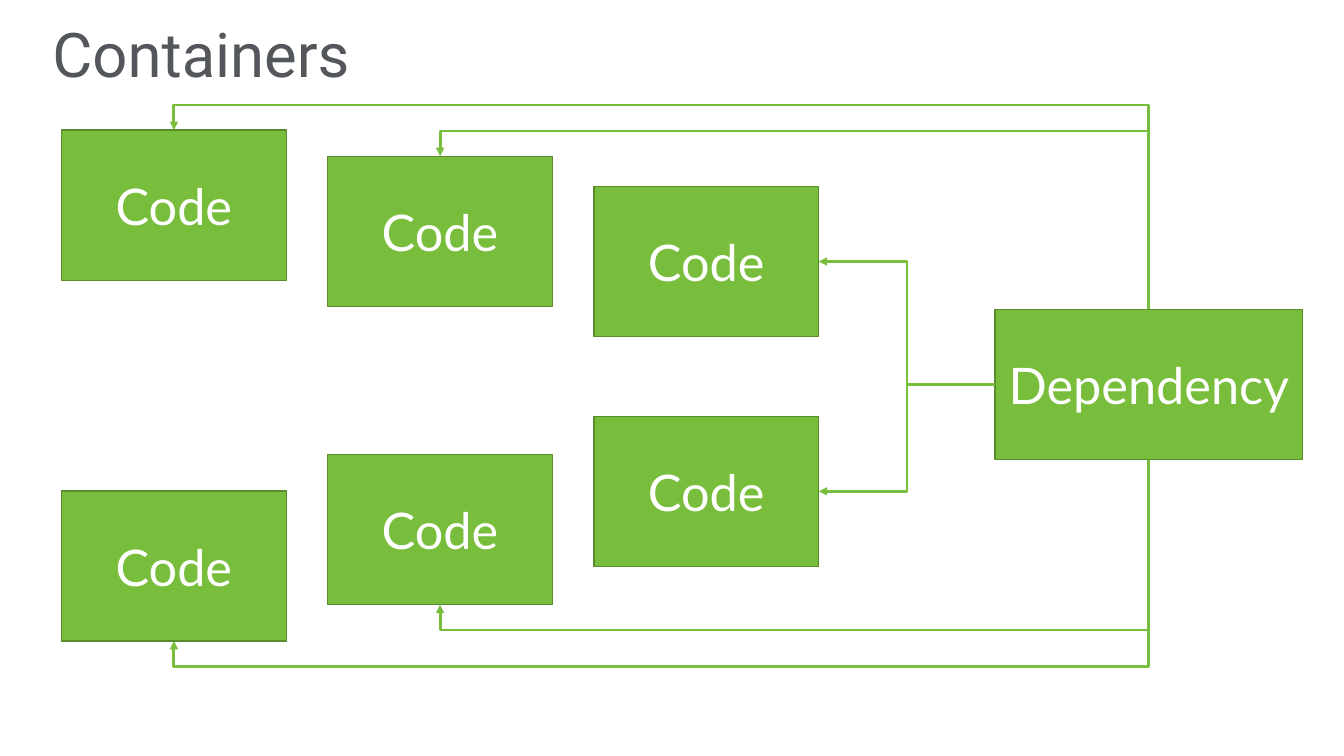
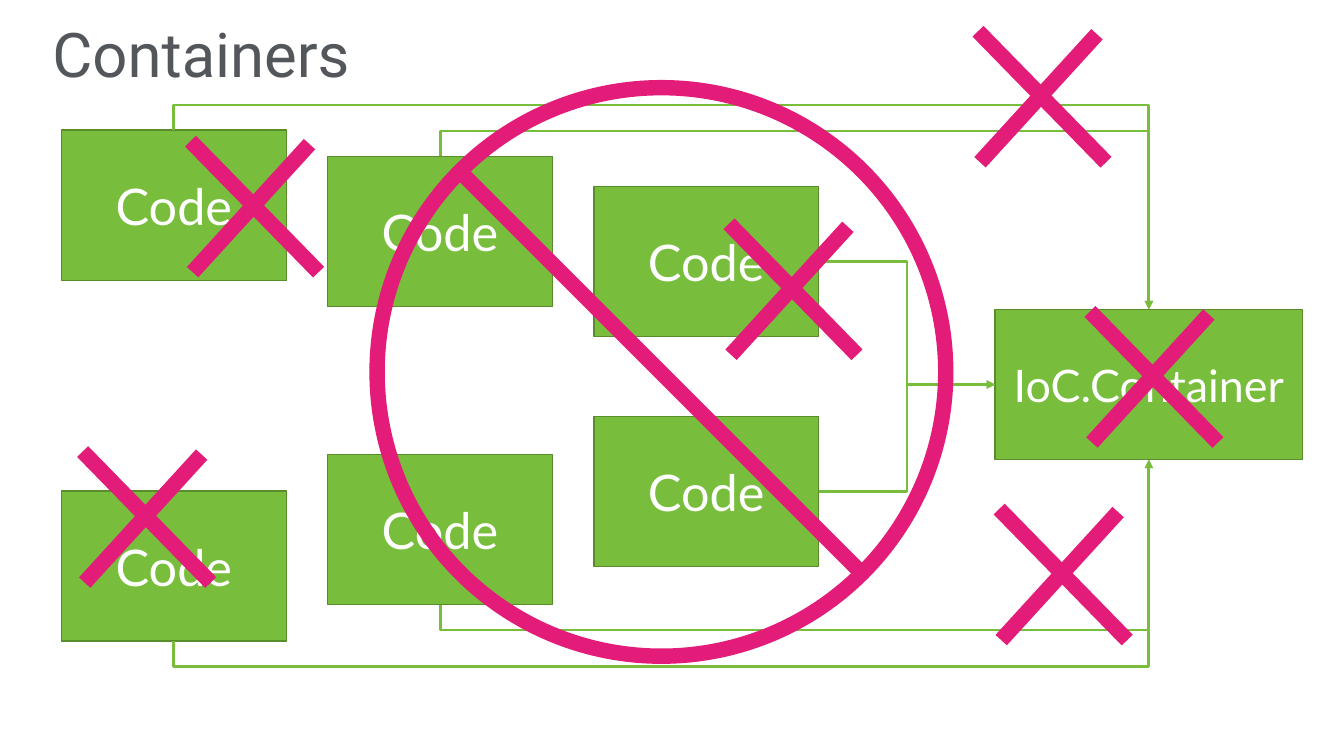
from lxml.etree import SubElement
from pptx import Presentation
from pptx.dml.color import RGBColor
from pptx.enum.shapes import MSO_CONNECTOR, MSO_SHAPE
from pptx.enum.text import MSO_ANCHOR, PP_ALIGN
from pptx.oxml.ns import qn
from pptx.util import Inches, Pt

GREEN, DARK_GREEN, PINK = "78BE3C", "598D2C", "E31C79"
WHITE, GREY = "FFFFFF", "53565A"
TITLE_FONT, BODY_FONT = "Roboto", "Lato"

TOP, LEFT, BOTTOM, RIGHT = range(4)  # connection sites of a rectangle
CODE_SIZE = (2.23, 1.49)
HUB_BOX = (9.87, 3.07, 3.05, 1.49)
DETOUR = 0.25  # how far an arrow runs beyond the code box it reaches

# left, top, side of the hub, side of the code box
CODE_BOXES = [
    (0.61, 1.29, TOP, TOP),
    (3.25, 1.55, TOP, TOP),
    (5.89, 1.85, LEFT, RIGHT),
    (0.61, 4.87, BOTTOM, BOTTOM),
    (3.25, 4.51, BOTTOM, BOTTOM),
    (5.89, 4.13, LEFT, RIGHT),
]

SLIDES = [
    {"title": "Containers", "hub": "Dependency", "hub_size": 36,
     "arrow_end": "tailEnd", "rejected": False},
    {"title": "Containers", "hub": "IoC.Container", "hub_size": 32,
     "arrow_end": "headEnd", "rejected": True},
]

BAN_CIRCLE = (3.74, 0.87, 5.64, 5.64)
BAN_BAR = (4.56, 1.7, 8.55, 5.69)
CROSS_STROKES = [(0, 0, 1.27, 1.3), (0.02, 1.3, 1.18, 0.03)]
CROSSES = [(7.23, 2.22), (9.91, 5.05), (1.89, 1.4),
           (0.82, 4.48), (9.7, 0.31), (10.81, 3.09)]


def color(value):
    return RGBColor.from_string(value)


def add_run(paragraph, text, font, size, text_color):
    run = paragraph.add_run()
    run.text = text
    run.font.name = font
    run.font.size = Pt(size)
    run.font.color.rgb = color(text_color)


def add_title(slide, text):
    title = slide.shapes.title
    title.left, title.top, title.width, title.height = map(
        Inches, (0.42, 0.28, 12.49, 0.59))
    title.text_frame.vertical_anchor = MSO_ANCHOR.MIDDLE
    paragraph = title.text_frame.paragraphs[0]
    paragraph.alignment = PP_ALIGN.LEFT
    paragraph.line_spacing = 0.9
    add_run(paragraph, text, TITLE_FONT, 44, GREY)


def add_box(slide, box, text, size=36):
    shape = slide.shapes.add_shape(MSO_SHAPE.RECTANGLE, *map(Inches, box))
    shape.shadow.inherit = False
    shape.fill.solid()
    shape.fill.fore_color.rgb = color(GREEN)
    shape.line.color.rgb = color(DARK_GREEN)
    shape.line.width = Pt(1)
    frame = shape.text_frame
    frame.word_wrap = True
    frame.vertical_anchor = MSO_ANCHOR.MIDDLE
    paragraph = frame.paragraphs[0]
    paragraph.alignment = PP_ALIGN.CENTER
    add_run(paragraph, text, BODY_FONT, size, WHITE)
    return shape


def style_line(connector, line_color, width):
    connector.line.color.rgb = color(line_color)
    connector.line.width = Pt(width)
    SubElement(connector._element.spPr, qn("a:effectLst"))


def turn_elbow(connector, upward):
    """Make an elbow leave and arrive vertically, looping past its end."""
    across, along = connector.width, connector.height
    center_x = connector.left + across // 2
    center_y = connector.top + along // 2
    connector.left, connector.top = center_x - along // 2, center_y - across // 2
    connector.width, connector.height = along, across
    properties = connector._element.spPr
    transform = properties.find(qn("a:xfrm"))
    for flip in ("flipH", "flipV"):
        transform.attrib.pop(flip, None)
    transform.set("rot", str((270 if upward else 90) * 60000))
    if upward:
        transform.set("flipV", "1")
    geometry = properties.find(qn("a:prstGeom"))
    adjustments = geometry.find(qn("a:avLst"))
    if adjustments is None:
        adjustments = SubElement(geometry, qn("a:avLst"))
    bend = round(100000 * (1 + Inches(DETOUR) / along))
    SubElement(adjustments, qn("a:gd"), name="adj1", fmla=f"val {bend}")


def add_arrow(slide, hub, hub_side, code, code_side, arrow_end):
    connector = slide.shapes.add_connector(MSO_CONNECTOR.ELBOW, 0, 0, 0, 0)
    connector.begin_connect(hub, hub_side)
    connector.end_connect(code, code_side)
    if hub_side != LEFT:
        turn_elbow(connector, hub_side == TOP)
    style_line(connector, GREEN, 2)
    line = connector._element.spPr.find(qn("a:ln"))
    SubElement(line, qn(f"a:{arrow_end}"), type="triangle")


def add_stroke(group, ends):
    connector = group.shapes.add_connector(
        MSO_CONNECTOR.STRAIGHT, *map(Inches, ends))
    style_line(connector, PINK, 11)


def add_ban(slide):
    group = slide.shapes.add_group_shape()
    circle = group.shapes.add_shape(MSO_SHAPE.OVAL, *map(Inches, BAN_CIRCLE))
    circle.shadow.inherit = False
    circle.fill.background()
    circle.line.color.rgb = color(PINK)
    circle.line.width = Pt(11)
    add_stroke(group, BAN_BAR)


def add_cross(slide, left, top):
    group = slide.shapes.add_group_shape()
    for x1, y1, x2, y2 in CROSS_STROKES:
        add_stroke(group, (left + x1, top + y1, left + x2, top + y2))


def add_diagram(presentation, content):
    slide = presentation.slides.add_slide(presentation.slide_layouts[5])
    add_title(slide, content["title"])
    hub = add_box(slide, HUB_BOX, content["hub"], content["hub_size"])
    codes = [add_box(slide, (left, top, *CODE_SIZE), "Code")
             for left, top, _, _ in CODE_BOXES]
    for code, (_, _, hub_side, code_side) in zip(codes, CODE_BOXES):
        add_arrow(slide, hub, hub_side, code, code_side, content["arrow_end"])
    if content["rejected"]:
        add_ban(slide)
        for left, top in CROSSES:
            add_cross(slide, left, top)


def main():
    presentation = Presentation()
    presentation.slide_width = Inches(13.33)
    presentation.slide_height = Inches(7.5)
    for content in SLIDES:
        add_diagram(presentation, content)
    presentation.save("out.pptx")


if __name__ == "__main__":
    main()
